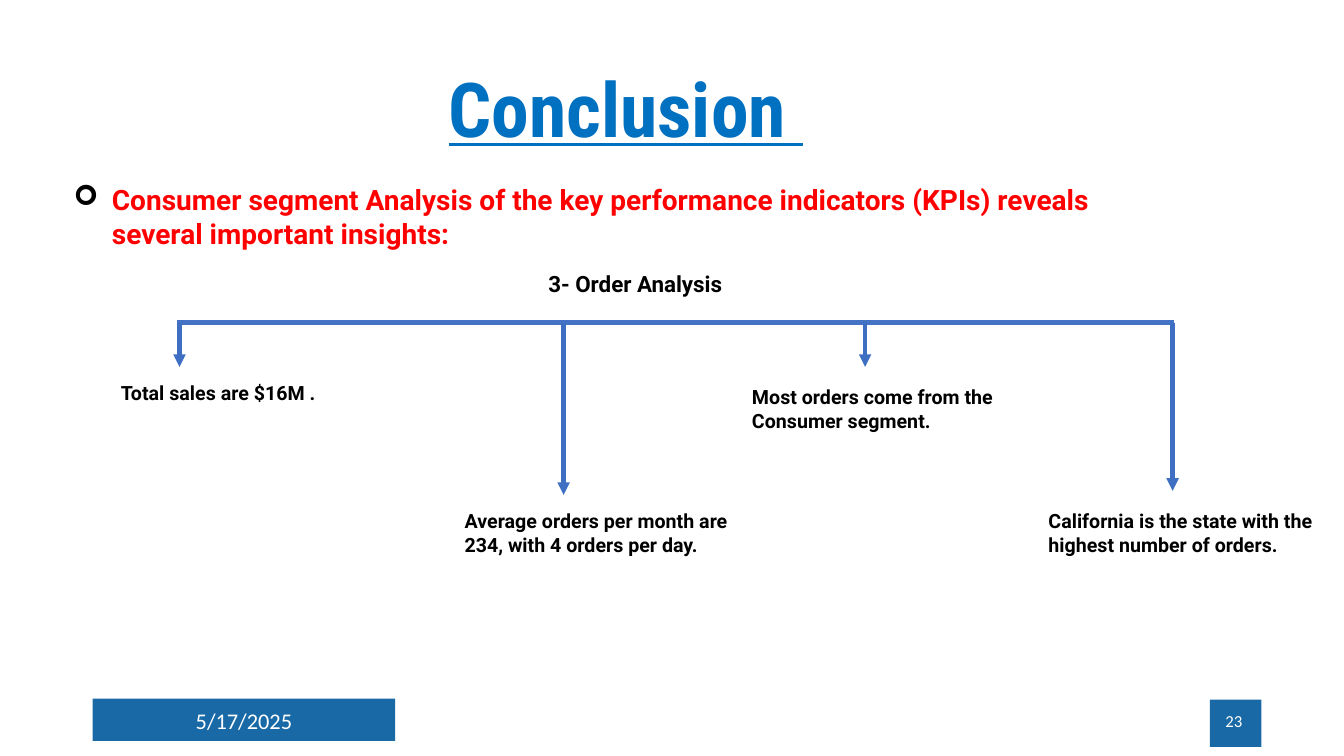
from dataclasses import dataclass

from lxml import etree
from pptx import Presentation
from pptx.dml.color import RGBColor
from pptx.enum.shapes import MSO_CONNECTOR as Connector, MSO_SHAPE as Preset
from pptx.enum.text import MSO_ANCHOR as Anchor, MSO_AUTO_SIZE as AutoSize, PP_ALIGN as Align
from pptx.oxml.ns import qn
from pptx.util import Inches, Pt

BANNER_BLUE = "1869A6"
BAR_BLUE = "4472C4"
ARROW_BLUE = "3F6FC3"
BAR_TOP = 3.2


@dataclass(frozen=True)
class Box:
    left: float
    top: float
    width: float
    height: float


@dataclass(frozen=True)
class Insight:
    text: str
    box: Box
    arrow_x: float
    arrow_end: float


INSIGHTS = [
    Insight("Total sales are $16M .", Box(1.1, 3.73, 3.59, 0.34), 1.78, 3.64),
    Insight("Average orders per month are 234, with 4 orders per day.",
            Box(4.51, 5, 3.15, 0.57), 5.59, 4.91),
    Insight("Most orders come from the Consumer segment.",
            Box(7.36, 3.77, 3.15, 0.57), 8.58, 3.64),
    Insight("California is the state with the highest number of orders.",
            Box(10.3, 5, 3.15, 0.57), 11.63, 4.87),
]


def color(value: str) -> RGBColor:
    return RGBColor.from_string(value)


def place(shape, box: Box) -> None:
    shape.left, shape.top = Inches(box.left), Inches(box.top)
    shape.width, shape.height = Inches(box.width), Inches(box.height)


def add_bullet(paragraph, symbol: str, symbol_color: str, indent: float) -> None:
    properties = paragraph._p.get_or_add_pPr()
    properties.set("marL", str(Inches(indent)))
    properties.set("indent", str(-Inches(indent)))
    bullet_color = etree.SubElement(properties, qn("a:buClr"))
    etree.SubElement(bullet_color, qn("a:srgbClr"), val=symbol_color)
    etree.SubElement(properties, qn("a:buFont"), typeface="Wingdings")
    etree.SubElement(properties, qn("a:buChar"), char=symbol)


def write(shape, text: str, *, size: float, font: str = "Roboto", ink: str = "000000",
          bold: bool = True, underline: bool = False, align: Align = Align.LEFT,
          anchor: Anchor = Anchor.TOP, bullet: str = "") -> None:
    frame = shape.text_frame
    frame.word_wrap = True
    frame.auto_size = AutoSize.NONE
    frame.vertical_anchor = anchor
    paragraph = frame.paragraphs[0]
    paragraph.alignment = align
    paragraph.space_before = Pt(0)
    if bullet:
        add_bullet(paragraph, bullet, "000000", 0.38)
    run = paragraph.add_run()
    run.text = text
    run.font.size, run.font.name = Pt(size), font
    run.font.bold, run.font.underline = bold, underline
    run.font.color.rgb = color(ink)


def add_text(slide, box: Box, text: str, **text_format) -> None:
    shape = slide.shapes.add_textbox(0, 0, 0, 0)
    place(shape, box)
    write(shape, text, **text_format)


def add_banner(slide, box: Box) -> None:
    shape = slide.shapes.add_shape(Preset.RECTANGLE, 0, 0, 0, 0)
    place(shape, box)
    shape.shadow.inherit = False
    shape.fill.solid()
    shape.fill.fore_color.rgb = color(BANNER_BLUE)
    shape.line.fill.background()


def add_line(slide, start: tuple[float, float], end: tuple[float, float],
             ink: str, arrow: bool = False) -> None:
    connector = slide.shapes.add_connector(
        Connector.STRAIGHT, *(Inches(value) for value in (*start, *end)))
    connector.line.width = Pt(3)
    connector.line.color.rgb = color(ink)
    if arrow:
        etree.SubElement(connector.line._get_or_add_ln(), qn("a:tailEnd"), type="triangle")
    etree.SubElement(connector._element.spPr, qn("a:effectLst"))


def main() -> None:
    presentation = Presentation()
    presentation.slide_width, presentation.slide_height = Inches(13.33), Inches(7.5)
    slide = presentation.slides.add_slide(presentation.slide_layouts[1])

    add_banner(slide, Box(0.92, 6.93, 3, 0.42))
    add_banner(slide, Box(12, 6.94, 0.51, 0.47))
    footer = dict(font="Calibri", ink="FFFFFF", bold=False, anchor=Anchor.MIDDLE)
    add_text(slide, Box(9.42, 6.95, 3, 0.4), "23", size=12, align=Align.RIGHT, **footer)
    add_text(slide, Box(0.92, 6.95, 3, 0.4), "5/17/2025", size=16, align=Align.CENTER, **footer)

    title, body = slide.placeholders
    place(title, Box(0.29, 0.56, 11.84, 2.03))
    write(title, "Conclusion ", size=54, font="Roboto Condensed", ink="0070C0",
          underline=True, align=Align.CENTER)
    place(body, Box(0.63, 1.76, 10.63, 0.77))
    write(body, "Consumer segment Analysis of the key performance indicators (KPIs) "
          "reveals several important insights:", size=20, ink="FF0000", bullet="➢")
    add_text(slide, Box(5.34, 2.63, 6.67, 0.37), "3- Order Analysis", size=16)

    add_line(slide, (1.76, BAR_TOP), (11.64, BAR_TOP), BAR_BLUE)
    for insight in INSIGHTS:
        add_line(slide, (insight.arrow_x, BAR_TOP), (insight.arrow_x, insight.arrow_end),
                 ARROW_BLUE, arrow=True)
        add_text(slide, insight.box, insight.text, size=14)

    presentation.save("out.pptx")


if __name__ == "__main__":
    main()
